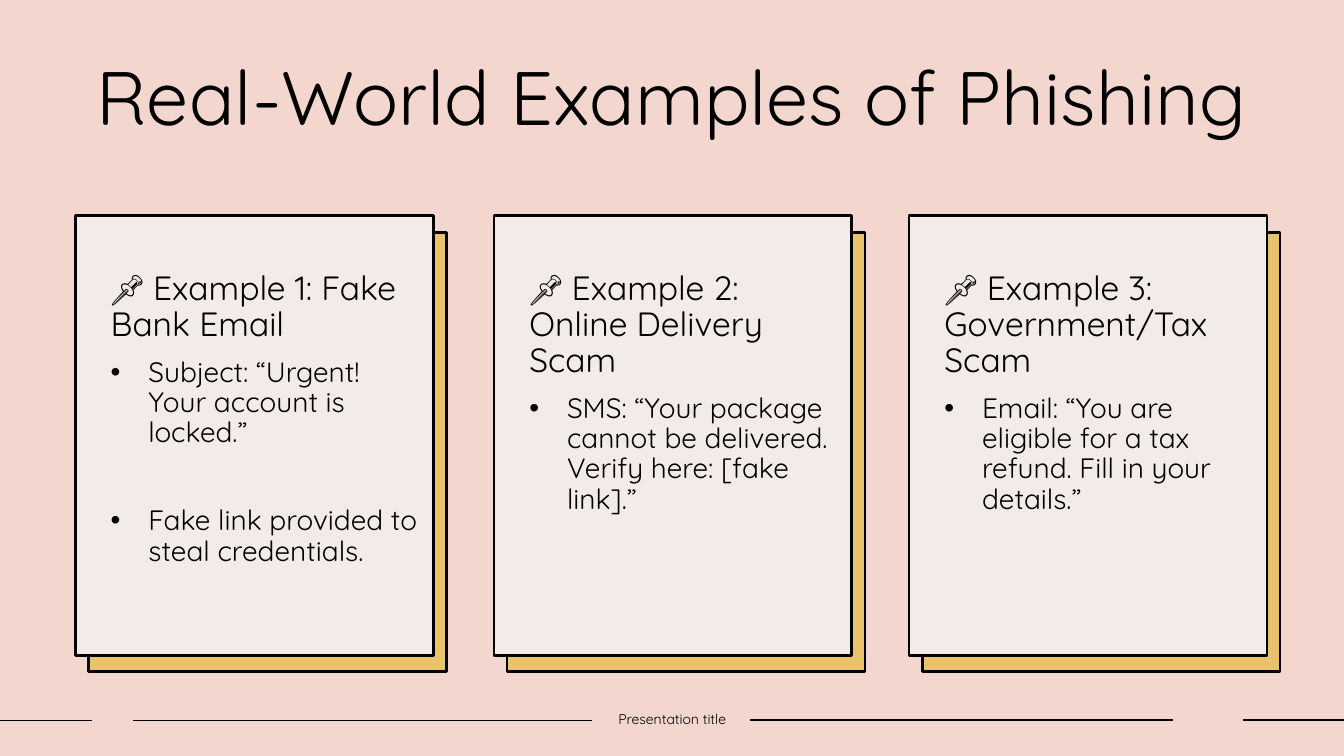
from dataclasses import dataclass

from lxml.etree import SubElement
from pptx import Presentation
from pptx.dml.color import RGBColor
from pptx.enum.shapes import MSO_CONNECTOR, MSO_SHAPE
from pptx.enum.text import MSO_ANCHOR as Anchor, PP_ALIGN as Align
from pptx.oxml.ns import qn
from pptx.shapes.autoshape import Shape
from pptx.slide import Slide
from pptx.util import Cm, Pt


@dataclass(frozen=True)
class Theme:
    font: str = "Quicksand"
    ink: RGBColor = RGBColor(0x00, 0x00, 0x00)
    background: RGBColor = RGBColor(0xF3, 0xD6, 0xCD)
    card: RGBColor = RGBColor(0xF3, 0xEB, 0xE8)
    backing: RGBColor = RGBColor(0xE9, 0xC3, 0x69)
    title_size: float = 54
    heading_size: float = 24
    bullet_size: float = 20
    footer_size: float = 10
    rule_width: float = 1
    border_width: float = 2


@dataclass(frozen=True)
class Card:
    left: float
    heading: str
    bullets: tuple[str, ...]


@dataclass(frozen=True)
class Rule:
    start: float
    end: float
    top: float


THEME = Theme()
CARD_TOP, CARD_WIDTH, CARD_HEIGHT = 5.44, 9.02, 11.07
BACKING_SHIFT_X, BACKING_SHIFT_Y = 0.33, 0.41
BULLET_INDENT = 0.95
BULLET_GAP, WIDE_BULLET_GAP = 10, 41.5

CARDS = (
    Card(1.9, "📌 Example 1: Fake Bank Email",
         ("Subject: “Urgent! Your account is locked.”",
          "Fake link provided to steal credentials.")),
    Card(12.45, "📌 Example 2: Online Delivery Scam",
         ("SMS: “Your package cannot be delivered. Verify here: [fake link].”",)),
    Card(22.91, "📌 Example 3: Government/Tax Scam",
         ("Email: “You are eligible for a tax refund. Fill in your details.”",)),
)
RULES = (
    Rule(0, 2.33, 18.16),
    Rule(3.35, 14.91, 18.16),
    Rule(18.9, 29.56, 18.14),
    Rule(31.32, 33.87, 18.14),
)


def style_text(para, size: float) -> None:
    for span in para.runs:
        span.font.name = THEME.font
        span.font.size = Pt(size)
        span.font.color.rgb = THEME.ink


def add_rule(page: Slide, rule: Rule) -> None:
    line = page.shapes.add_connector(
        MSO_CONNECTOR.STRAIGHT, Cm(rule.start), Cm(rule.top), Cm(rule.end), Cm(rule.top))
    line.line.color.rgb = THEME.ink
    line.line.width = Pt(THEME.rule_width)
    SubElement(line._element.spPr, qn("a:effectLst"))


def add_panel(page: Slide, left: float, top: float, fill: RGBColor) -> Shape:
    panel = page.shapes.add_shape(
        MSO_SHAPE.RECTANGLE, Cm(left), Cm(top), Cm(CARD_WIDTH), Cm(CARD_HEIGHT))
    panel.shadow.inherit = False
    panel.fill.solid()
    panel.fill.fore_color.rgb = fill
    panel.line.color.rgb = THEME.ink
    panel.line.width = Pt(THEME.border_width)
    return panel


def add_bullet(para) -> None:
    properties = para._p.get_or_add_pPr()
    properties.set("marL", str(Cm(BULLET_INDENT)))
    properties.set("indent", str(-Cm(BULLET_INDENT)))
    SubElement(properties, qn("a:buFont")).set("typeface", "Arial")
    SubElement(properties, qn("a:buChar")).set("char", "•")


def add_card(page: Slide, card: Card) -> None:
    frame = add_panel(page, card.left, CARD_TOP, THEME.card).text_frame
    frame.word_wrap = True
    frame.vertical_anchor = Anchor.TOP
    frame.margin_left, frame.margin_top = Cm(0.89), Cm(1.4)
    frame.margin_right, frame.margin_bottom = Cm(0.25), Cm(0.13)
    frame.text = card.heading
    style_text(frame.paragraphs[0], THEME.heading_size)
    for index, bullet in enumerate(card.bullets):
        para = frame.add_paragraph()
        para.text = bullet
        add_bullet(para)
        para.space_before = Pt(WIDE_BULLET_GAP if index else BULLET_GAP)
        style_text(para, THEME.bullet_size)
    for para in frame.paragraphs:
        para.alignment = Align.LEFT
        para.line_spacing = 0.9


def add_label(page: Slide, text: str, left: float, top: float, width: float,
              height: float, size: float, anchor: Anchor, side_margin: float) -> None:
    box = page.shapes.add_textbox(Cm(left), Cm(top), Cm(width), Cm(height))
    frame = box.text_frame
    frame.word_wrap = True
    frame.vertical_anchor = anchor
    frame.margin_left = frame.margin_right = Cm(side_margin)
    frame.text = text
    frame.paragraphs[0].alignment = Align.CENTER
    style_text(frame.paragraphs[0], size)


def main() -> None:
    deck = Presentation()
    deck.slide_width, deck.slide_height = Cm(33.87), Cm(19.05)
    page = deck.slides.add_slide(deck.slide_layouts[6])
    page.background.fill.solid()
    page.background.fill.fore_color.rgb = THEME.background

    for rule in RULES:
        add_rule(page, rule)
    add_label(page, "Real-World Examples of Phishing", 1.4, 1.14, 31.04, 2.82,
              THEME.title_size, Anchor.TOP, 0.25)
    for card in CARDS:
        add_panel(page, card.left + BACKING_SHIFT_X, CARD_TOP + BACKING_SHIFT_Y, THEME.backing)
        add_card(page, card)
    add_label(page, "Presentation title", 14.91, 17.78, 4.06, 0.69,
              THEME.footer_size, Anchor.MIDDLE, 0)
    deck.save("out.pptx")


if __name__ == "__main__":
    main()
